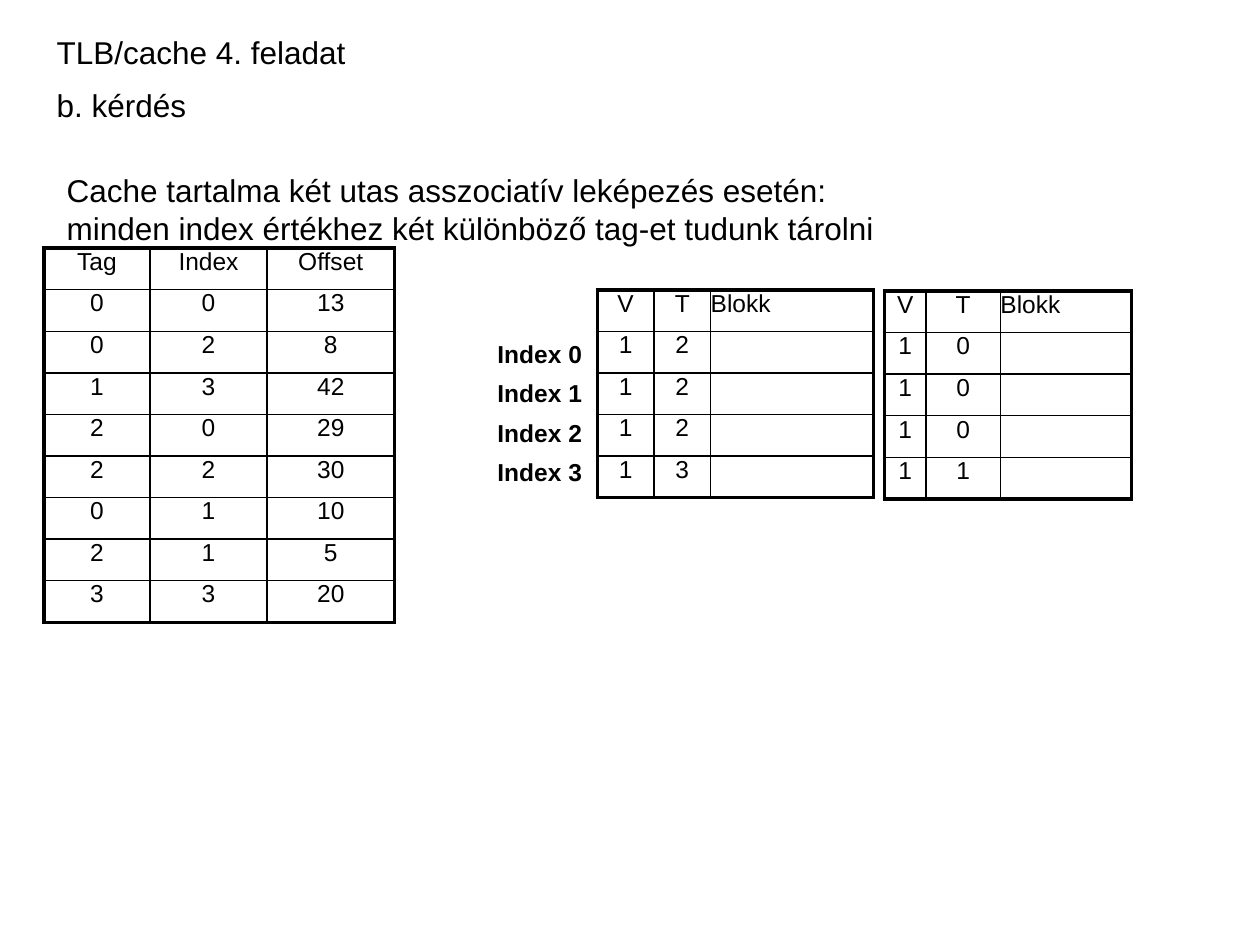
from dataclasses import dataclass

import lxml.etree
import pptx
import pptx.dml.color
import pptx.enum.text
import pptx.oxml.ns
import pptx.util

Pt = pptx.util.Pt
ALIGN = pptx.enum.text.PP_ALIGN
BLACK = pptx.dml.color.RGBColor(0, 0, 0)
FONT = "Arial"
ROW_HEIGHT = 23.76
OUTER, INNER = 2.25, 1


@dataclass
class Grid:
    left: float
    top: float
    widths: list[float]
    rows: list[list[str]]
    left_aligned: tuple[str, ...] = ()


ADDRESSES = Grid(25.2, 141.8, [60.5, 67, 72.7], [
    ["Tag", "Index", "Offset"],
    ["0", "0", "13"],
    ["0", "2", "8"],
    ["1", "3", "42"],
    ["2", "0", "29"],
    ["2", "2", "30"],
    ["0", "1", "10"],
    ["2", "1", "5"],
    ["3", "3", "20"],
])


def way(left: float, top: float, widths: list[float], tags: str) -> Grid:
    rows = [["V", "T", "Blokk"]] + [["1", tag, ""] for tag in tags]
    return Grid(left, top, widths, rows, ("Blokk",))


WAYS = [
    way(341.3, 165.6, [32.4, 32.4, 92.9], "2223"),
    way(505.4, 166.3, [23.8, 42.5, 74.9], "0001"),
]


def write(tf, text: str, size: float = 18, bold: bool = False,
          align=ALIGN.LEFT, gap: float = 0) -> None:
    tf.text = text
    for i, p in enumerate(tf.paragraphs):
        p.alignment = align
        if i:
            p.space_before = Pt(gap)
        for r in p.runs:
            r.font.name = FONT
            r.font.size = Pt(size)
            r.font.bold = bold
            r.font.color.rgb = BLACK


def place(sp, left: float, top: float, width: float, height: float) -> None:
    sp.left, sp.top, sp.width, sp.height = map(Pt, (left, top, width, height))


def add_text(s, left: float, top: float, width: float, height: float,
             text: str, **fmt) -> None:
    sp = s.shapes.add_textbox(Pt(left), Pt(top), Pt(width), Pt(height))
    sp.text_frame.word_wrap = True
    write(sp.text_frame, text, **fmt)


def set_border(cell, side: str, width: float) -> None:
    qn = pptx.oxml.ns.qn
    tc_pr = cell._tc.get_or_add_tcPr()
    ln = lxml.etree.SubElement(tc_pr, qn(f"a:ln{side}"), w=str(Pt(width)))
    fill = lxml.etree.SubElement(ln, qn("a:solidFill"))
    lxml.etree.SubElement(fill, qn("a:srgbClr"), val=str(BLACK))


def add_grid(s, grid: Grid) -> None:
    n_rows, n_cols = len(grid.rows), len(grid.widths)
    table = s.shapes.add_table(
        n_rows, n_cols, Pt(grid.left), Pt(grid.top),
        Pt(sum(grid.widths)), Pt(ROW_HEIGHT * n_rows)).table
    table.first_row = table.horz_banding = False
    for col, width in zip(table.columns, grid.widths):
        col.width = Pt(width)
    for i, row in enumerate(grid.rows):
        table.rows[i].height = Pt(ROW_HEIGHT)
        for j, text in enumerate(row):
            cell = table.cell(i, j)
            cell.margin_left = cell.margin_right = 0
            cell.margin_top = cell.margin_bottom = 0
            align = ALIGN.LEFT if text in grid.left_aligned else ALIGN.CENTER
            write(cell.text_frame, text, size=14, align=align)
            edges = {"L": j == 0, "R": j == n_cols - 1,
                     "T": i == 0, "B": i == n_rows - 1}
            for side, is_outer in edges.items():
                set_border(cell, side, OUTER if is_outer else INNER)
            cell.fill.background()


def main() -> None:
    prs = pptx.Presentation()
    prs.slide_width, prs.slide_height = Pt(720), Pt(540)
    s = prs.slides.add_slide(prs.slide_layouts[5])

    title = s.shapes.title
    place(title, 25.2, 15.1, 187.2, 61.2)
    tf = title.text_frame
    tf.word_wrap = True
    tf.auto_size = pptx.enum.text.MSO_AUTO_SIZE.NONE
    tf.vertical_anchor = pptx.enum.text.MSO_ANCHOR.TOP
    write(tf, "TLB/cache 4. feladat\nb. kérdés", gap=9)

    add_text(s, 31, 94.3, 635, 50.4,
             "Cache tartalma két utas asszociatív leképezés esetén:\v"
             "minden index értékhez két különböző tag-et tudunk tárolni")
    for grid in WAYS:
        add_grid(s, grid)
    for i in range(4):
        add_text(s, 277.2, 190.1 + 22.56 * i, 79.2, 23.8,
                 f"Index {i}", size=14, bold=True)
    add_grid(s, ADDRESSES)
    prs.save("out.pptx")


if __name__ == "__main__":
    main()
